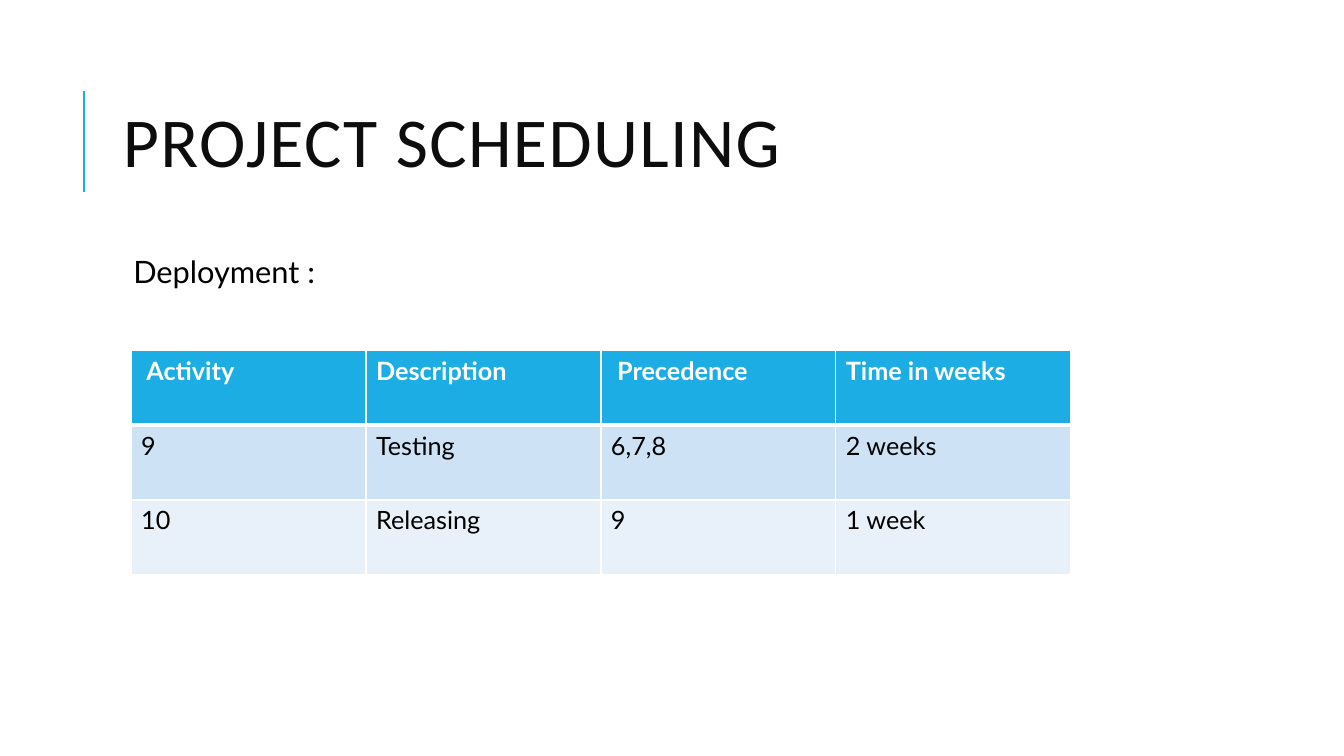
"""Build the project scheduling slide with its deployment table."""
from lxml.etree import SubElement
from pptx import Presentation
from pptx.dml.color import RGBColor
from pptx.enum.shapes import MSO_CONNECTOR as Connector
from pptx.enum.text import MSO_ANCHOR as Anchor
from pptx.oxml.ns import qn
from pptx.util import Inches, Pt

ACCENT = "1CADE4"
ROW_FILLS = [ACCENT, "CDE3F5", "E8F1FA"]
ROWS = [
    [" Activity", "Description", " Precedence", "Time in weeks"],
    ["9", "Testing", "6,7,8", "2 weeks"],
    ["10", "Releasing", "9", "1 week"],
]


def color(value):
    return RGBColor.from_string(value)


def write(frame, text, tint, formats):
    para = frame.paragraphs[0]
    span = para.add_run()
    span.text = text
    span.font.color.rgb = color(tint)
    for name, value in formats.items():
        setattr(span.font, name, value)
    return para, span


deck = Presentation()
deck.slide_width, deck.slide_height = Inches(13.33), Inches(7.5)
page = deck.slides.add_slide(deck.slide_layouts[6])

title_bar = page.shapes.add_connector(
    Connector.STRAIGHT, Inches(0.83), Inches(1.9), Inches(0.83), Inches(0.9))
title_bar.line.color.rgb = color(ACCENT)
title_bar.line.width = Pt(1.5)
SubElement(title_bar.element.spPr, qn("a:effectLst"))

title_box = page.shapes.add_textbox(Inches(1.12), Inches(0.64), Inches(10.63), Inches(1.64))
title_box.text_frame.word_wrap = True
title_box.text_frame.vertical_anchor = Anchor.MIDDLE
para, span = write(title_box.text_frame, "PROJECT SCHEDULING", "0D0D0D",
                   {"name": "Calibri", "size": Pt(50)})
para.line_spacing = 0.8
span.font._element.set("spc", "100")

body_box = page.shapes.add_textbox(Inches(1.12), Inches(2.5), Inches(10.63), Inches(4.4))
body_frame = body_box.text_frame
body_frame.word_wrap = True
for side in ("left", "top", "right", "bottom"):
    setattr(body_frame, f"margin_{side}", Inches(0.05))
para, span = write(body_frame, "Deployment :", "000000", {"name": "Lato", "size": Pt(22)})
for name, value in {"line_spacing": 0.9, "space_before": Pt(12), "space_after": Pt(2)}.items():
    setattr(para, name, value)
indent = para._p.get_or_add_pPr()
indent.set("marL", str(Inches(0.1)))
indent.set("indent", str(Inches(-0.1)))
SubElement(SubElement(indent, qn("a:buClr")), qn("a:srgbClr")).set("val", ACCENT)
SubElement(indent, qn("a:buChar")).set("char", " ")

schedule = page.shapes.add_table(
    len(ROWS), len(ROWS[0]), Inches(1.3), Inches(3.48), Inches(9.32), Inches(2.23)).table
for column in schedule.columns:
    column.width = Inches(2.33)
for row_index, (row, fill) in enumerate(zip(ROWS, ROW_FILLS)):
    schedule.rows[row_index].height = Inches(0.74)
    is_header = row_index == 0
    for column_index, text in enumerate(row):
        cell = schedule.cell(row_index, column_index)
        write(cell.text_frame, text, "FFFFFF" if is_header else "000000",
              {"name": "Lato", "size": Pt(18), "bold": is_header})
        widths = {"lnL": 1, "lnR": 1, "lnT": 3 if row_index == 1 else 1,
                  "lnB": 3 if is_header else 1}
        properties = cell._tc.get_or_add_tcPr()
        for edge, width in widths.items():
            border = SubElement(properties, qn(f"a:{edge}"), w=str(Pt(width)))
            SubElement(SubElement(border, qn("a:solidFill")), qn("a:srgbClr")).set("val", "FFFFFF")
        cell.fill.solid()
        cell.fill.fore_color.rgb = color(fill)

deck.save("out.pptx")
